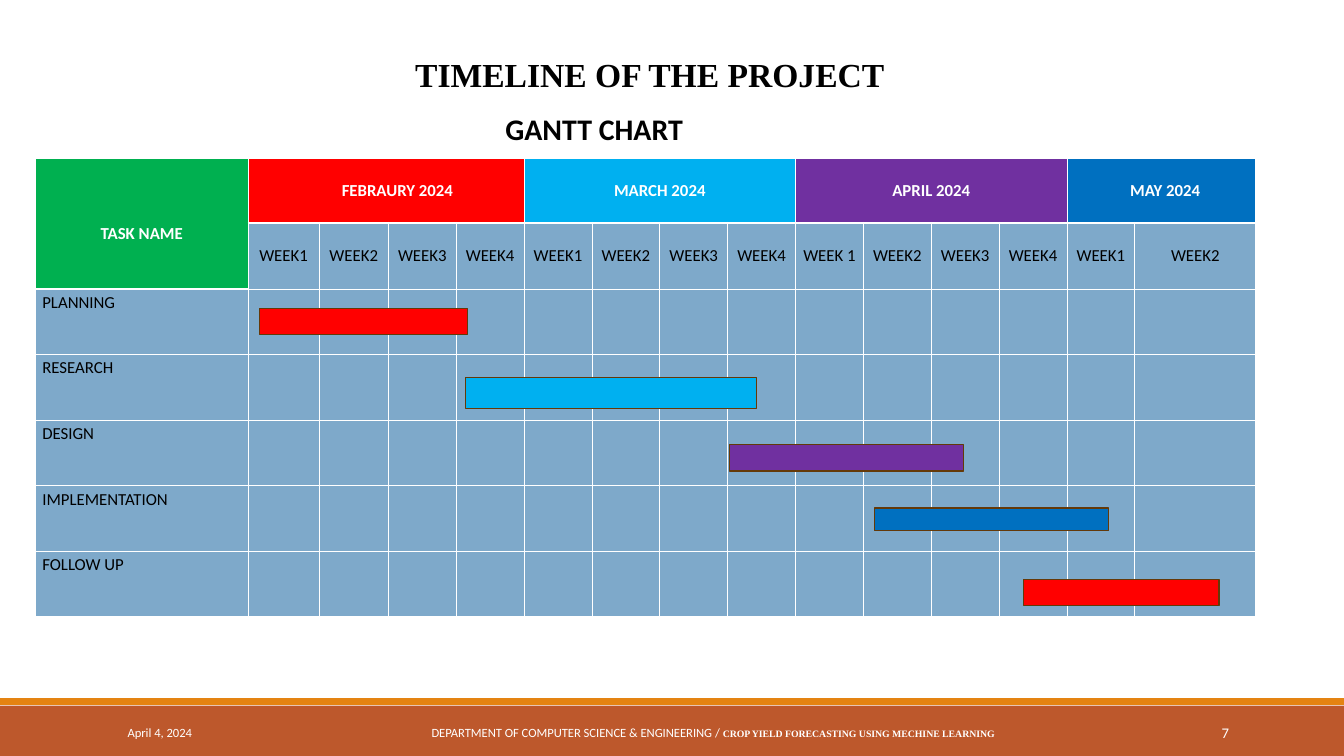
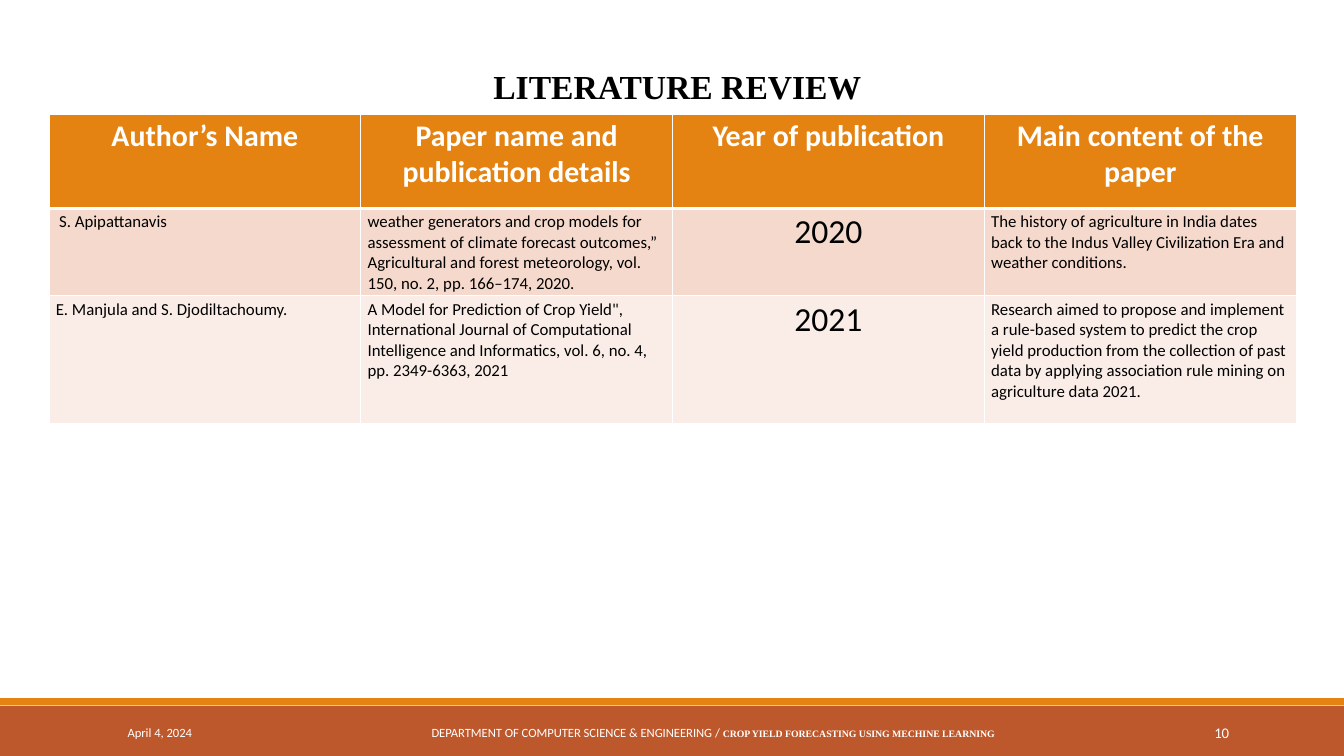
from dataclasses import dataclass

from lxml import etree
from pptx import Presentation
from pptx.dml.color import RGBColor
from pptx.enum.shapes import MSO_SHAPE
from pptx.enum.text import MSO_ANCHOR, PP_ALIGN
from pptx.oxml.ns import qn
from pptx.util import Inches, Pt


@dataclass(frozen=True)
class Theme:
    # Colours
    white: str = "FFFFFF"
    black: str = "000000"
    orange: str = "E48312"
    rust: str = "BD582C"
    bar_line: str = "643908"
    green: str = "00B050"
    red: str = "FF0000"
    sky: str = "00B0F0"
    purple: str = "7030A0"
    blue: str = "0070C0"
    grid: str = "7EA9CA"
    row_tints: tuple = ("F5D9CC", "FAEDE7")
    # Fonts and type sizes
    sans: str = "Calibri"
    serif: str = "Times New Roman"
    title: float = 36
    heading: float = 32
    body: float = 18
    footer: float = 13.5
    footer_topic: float = 10.5
    page: float = 15.8


T = Theme()
MARGIN_X = 0.1


# Shared helpers
def write(frame, text, size, color=T.black, bold=False, font=T.sans, align=PP_ALIGN.LEFT):
    """Add a run to the first paragraph of a text frame."""
    paragraph = frame.paragraphs[0]
    paragraph.alignment = align
    run = paragraph.add_run()
    run.text = text
    run.font.size = Pt(size)
    run.font.name = font
    run.font.bold = bold
    run.font.color.rgb = RGBColor.from_string(color)
    return paragraph


def text_box(slide, box, anchor=MSO_ANCHOR.TOP, wrap=True, indent=0):
    frame = slide.shapes.add_textbox(*map(Inches, box)).text_frame
    frame.word_wrap = wrap
    frame.vertical_anchor = anchor
    frame.margin_left = Inches(MARGIN_X + indent)
    return frame


def rectangle(slide, box, fill, line=None):
    shape = slide.shapes.add_shape(MSO_SHAPE.RECTANGLE, *map(Inches, box))
    shape.shadow.inherit = False
    shape.fill.solid()
    shape.fill.fore_color.rgb = RGBColor.from_string(fill)
    if line:
        shape.line.color.rgb = RGBColor.from_string(line)
        shape.line.width = Pt(1.25)
    else:
        shape.line.fill.background()


def style_cell(cell, fill, top=1, bottom=1):
    """White borders, with the given top and bottom weights, and a fill."""
    properties = cell._tc.get_or_add_tcPr()
    for side, weight in (("L", 1), ("R", 1), ("T", top), ("B", bottom)):
        line = etree.SubElement(properties, qn(f"a:ln{side}"), w=str(Pt(weight)))
        solid = etree.SubElement(line, qn("a:solidFill"))
        etree.SubElement(solid, qn("a:srgbClr"), val=T.white)
    cell.fill.solid()
    cell.fill.fore_color.rgb = RGBColor.from_string(fill)


def add_table(slide, left, top, widths, heights):
    table = slide.shapes.add_table(
        len(heights), len(widths), Inches(left), Inches(top),
        Inches(sum(widths)), Inches(sum(heights))).table
    table.first_row = table.horz_banding = False
    for column, width in zip(table.columns, widths):
        column.width = Inches(width)
    for row, height in zip(table.rows, heights):
        row.height = Inches(height)
    return table


def footer(slide, page, left=0, top=10.39, width=20):
    """Two bands carrying date, department and page number."""
    rectangle(slide, (left, top + 0.11, width, 0.75), T.rust)
    rectangle(slide, (left, top, width, 0.1), T.orange)

    def slot(offset, slot_width):
        return text_box(slide, (left + offset, top + 0.21, slot_width, 0.6), MSO_ANCHOR.MIDDLE)

    write(slot(1.8, 4.06), "April 4, 2024", T.footer, T.white)
    write(slot(16.24, 2.15), str(page), T.page, T.white, align=PP_ALIGN.RIGHT)
    middle = slot(6.05, 9.13)
    write(middle, "DEPARTMENT OF COMPUTER SCIENCE & ENGINEERING / ", T.footer, T.white)
    write(middle, "CROP YIELD FORECASTING USING MECHINE LEARNING", T.footer_topic,
          T.white, True, T.serif, PP_ALIGN.CENTER)


def slide_title(slide, text, box, **options):
    frame = text_box(slide, box, **options)
    return write(frame, text, T.title, bold=True, font=T.serif)


# Gantt chart
MONTHS = [  # name, fill, weeks, left indent
    ("FEBRAURY 2024", T.red, 4, 0.34),
    ("MARCH 2024", T.sky, 4, 0),
    ("APRIL 2024", T.purple, 4, 0),
    ("MAY 2024", T.blue, 2, 0.11),
]
TASKS = [  # name, bar fill, bar box relative to the table
    ("PLANNING", T.red, (3.33, 2.24, 3.1, 0.39)),
    ("RESEARCH", T.sky, (6.4, 3.27, 4.33, 0.46)),
    ("DESIGN", T.purple, (10.32, 4.27, 3.49, 0.39)),
    ("IMPLEMENTATION", T.blue, (12.48, 5.21, 3.49, 0.34)),
    ("FOLLOW UP", T.red, (14.7, 6.27, 2.91, 0.39)),
]


def header_cell(table, first, last, text, fill):
    """Merge a block of header cells and label it."""
    for row in range(first[0], last[0] + 1):
        for column in range(first[1], last[1] + 1):
            style_cell(table.cell(row, column), fill, bottom=3 if row == last[0] else 1)
    cell = table.cell(*first)
    if first != last:
        cell.merge(table.cell(*last))
    cell.vertical_anchor = MSO_ANCHOR.MIDDLE
    write(cell.text_frame, text, T.body, T.white, True, align=PP_ALIGN.CENTER)
    return cell


def gantt(slide, left, top):
    widths = [3.16, 1.06, 1.03] + [1.01] * 11 + [1.8]
    heights = [0.97, 0.98, 0.97, 0.99] + [0.97] * 3
    table = add_table(slide, left, top, widths, heights)

    # Task heading, months and weeks
    header_cell(table, (0, 0), (1, 0), "TASK NAME", T.green).margin_top = Inches(0.35)
    column = 1
    for name, fill, weeks, indent in MONTHS:
        month = header_cell(table, (0, column), (0, column + weeks - 1), name, fill)
        month.margin_left = Inches(MARGIN_X + indent)
        for week in range(1, weeks + 1):
            cell = table.cell(1, column)
            style_cell(cell, T.grid, top=3)
            cell.vertical_anchor = MSO_ANCHOR.MIDDLE
            cell.margin_left = cell.margin_right = Inches(0.05)
            label = "WEEK 1" if (name, week) == ("APRIL 2024", 1) else f"WEEK{week}"
            write(cell.text_frame, label, T.body, align=PP_ALIGN.CENTER)
            column += 1

    # Task rows and their bars
    for row, (task, fill, (x, y, width, height)) in enumerate(TASKS, 2):
        for column in range(len(widths)):
            style_cell(table.cell(row, column), T.grid,
                       top=3 if (row, column) == (2, 0) else 1)
        write(table.cell(row, 0).text_frame, task, T.body)
        rectangle(slide, (left + x, top + y, width, height), fill, T.bar_line)


def timeline_slide(slide):
    slide_title(slide, "TIMELINE OF THE PROJECT", (6.08, 0.76, 7.26, 0.71), wrap=False)
    heading = text_box(slide, (7.32, 1.59, 3.49, 0.64), indent=0.1)
    write(heading, "GANTT CHART", T.heading, bold=True)
    gantt(slide, 0.53, 2.35)
    footer(slide, 7)


# Literature review
HEADINGS = ["Author’s Name", "Paper name and publication details",
            "Year of publication", "Main content of the paper"]
PAPERS = [
    ("S. Apipattanavis",
     "weather generators and crop models for assessment of climate forecast outcomes,” "
     "Agricultural and forest meteorology, vol. 150, no. 2, pp. 166–174, 2020.",
     "2020",
     "The history of agriculture in India dates back to the Indus Valley "
     "Civilization\u00a0Era and weather conditions."),
    ("E. Manjula and S. Djodiltachoumy.",
     "A Model for Prediction of Crop Yield\", International Journal of Computational "
     "Intelligence and Informatics, vol. 6, no. 4, pp. 2349-6363,\u00a02021",
     "2021",
     "Research aimed to propose and implement a rule-based system to predict the crop "
     "yield production from the collection of past data by applying association rule "
     "mining on agriculture data 2021."),
]
YEAR_COLUMN = 2


def paper_table(slide, left, top):
    table = add_table(slide, left, top, [4.64] * len(HEADINGS), [1.4, 1.3, 1.9])
    for column, heading in enumerate(HEADINGS):
        cell = table.cell(0, column)
        style_cell(cell, T.orange, bottom=3)
        write(cell.text_frame, heading, T.heading, T.white, True, align=PP_ALIGN.CENTER)
    for row, (paper, tint) in enumerate(zip(PAPERS, T.row_tints), 1):
        for column, text in enumerate(paper):
            cell = table.cell(row, column)
            style_cell(cell, tint, top=3 if row == 1 else 1)
            if column == YEAR_COLUMN:
                write(cell.text_frame, text, T.title, align=PP_ALIGN.CENTER)
            else:
                write(cell.text_frame, text, T.body)
    table.cell(1, 0).margin_left = Inches(0.15)


def literature_slide(slide):
    title = slide_title(slide, "LITERATURE REVIEW", (0.61, 0.63, 18.44, 0.9), indent=0.5)
    title.alignment = PP_ALIGN.CENTER
    title.line_spacing = 1.5
    paper_table(slide, 0.73, 1.7)
    footer(slide, 10)


presentation = Presentation()
presentation.slide_width = Inches(20)
presentation.slide_height = Inches(11.25)
for build in (timeline_slide, literature_slide):
    build(presentation.slides.add_slide(presentation.slide_layouts[6]))
presentation.save("out.pptx")
